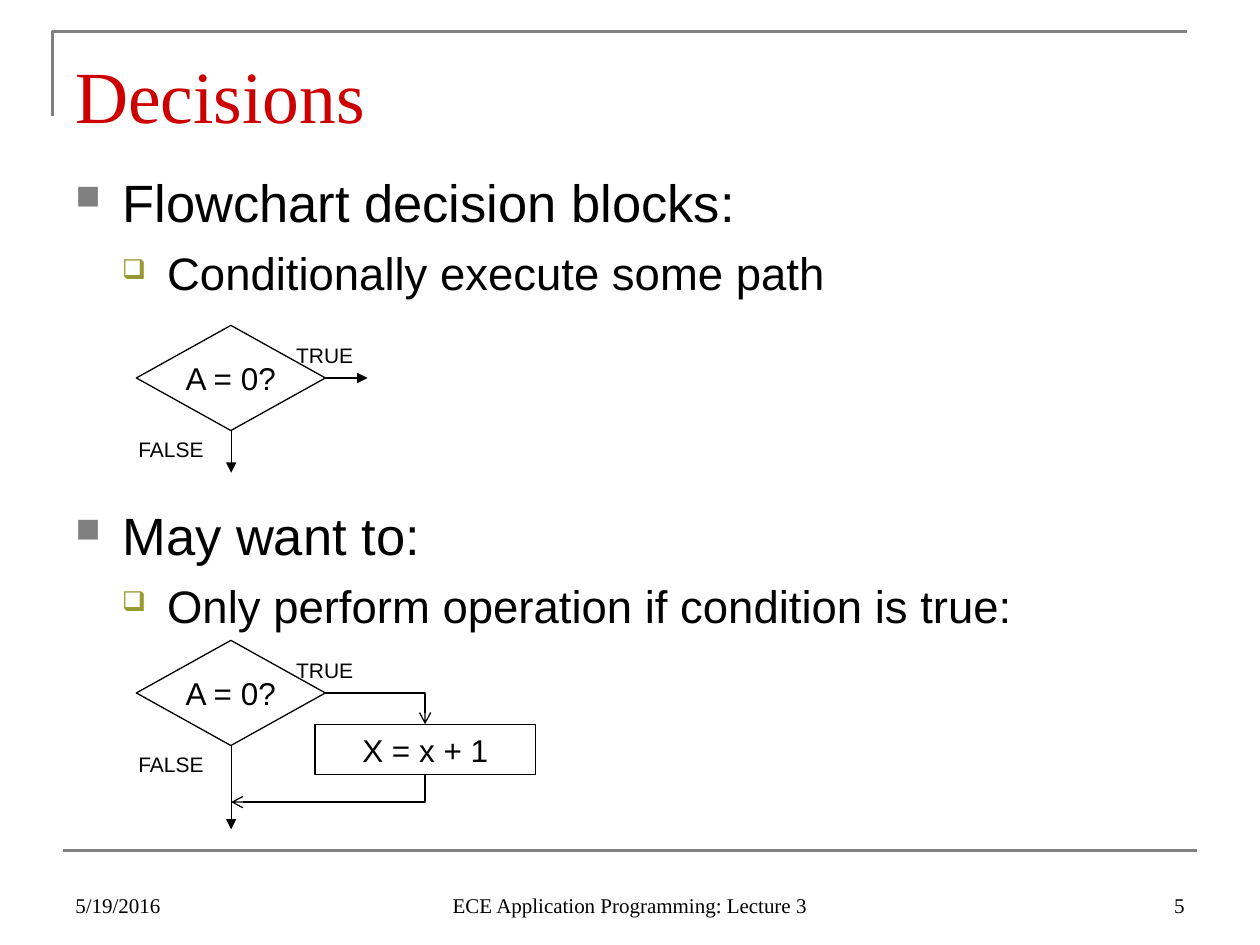
from lxml import etree
from pptx import Presentation
from pptx import util as u
from pptx.dml.color import RGBColor
from pptx.enum import shapes, text
from pptx.oxml import ns

SERIF, SANS = "Times New Roman", "Arial"
BLACK, GRAY, RED, OLIVE = "000000", "808080", "CC0000", "999933"
LEFT, CENTER, RIGHT = text.PP_ALIGN.LEFT, text.PP_ALIGN.CENTER, text.PP_ALIGN.RIGHT
TOP, MIDDLE, BOTTOM = text.MSO_ANCHOR.TOP, text.MSO_ANCHOR.MIDDLE, text.MSO_ANCHOR.BOTTOM


def color(value):
    """Turn a hex string into a colour."""
    return RGBColor.from_string(value)


def cm(*values):
    """Turn numbers into centimetre lengths."""
    return [u.Cm(v) for v in values]


def child(parent, tag, **attrs):
    """Append a drawing element with the given attributes."""
    return etree.SubElement(parent, ns.qn("a:" + tag), **attrs)


def style_line(line, value=BLACK, width=0.75):
    """Set the colour and width of a line."""
    line.color.rgb = color(value)
    line.width = u.Pt(width)


def add_run(p, words, size, font=SANS, value=BLACK):
    """Add one formatted run to a paragraph."""
    r = p.add_run()
    r.text = words
    r.font.size = u.Pt(size)
    r.font.name = font
    r.font.color.rgb = color(value)


def add_text(s, box, words, size, font=SANS, value=BLACK, align=LEFT, anchor=TOP, inset=0.13):
    """Add a text box with one line of text."""
    tf = s.shapes.add_textbox(*cm(*box)).text_frame
    tf.word_wrap = True
    tf.vertical_anchor = anchor
    tf.margin_top = u.Cm(inset)
    p = tf.paragraphs[0]
    p.alignment = align
    add_run(p, words, size, font, value)


def add_block(s, kind, box, words, wrap):
    """Add an outlined flowchart block with centred text."""
    sp = s.shapes.add_shape(kind, *cm(*box))
    sp.shadow.inherit = False
    sp.fill.background()
    style_line(sp.line)
    tf = sp.text_frame
    tf.word_wrap = wrap
    tf.vertical_anchor = MIDDLE
    p = tf.paragraphs[0]
    p.alignment = CENTER
    add_run(p, words, 18)


def add_line(s, start, end, head=None, value=BLACK, width=0.75):
    """Add a straight connector with an optional arrowhead."""
    kind = shapes.MSO_CONNECTOR.STRAIGHT
    sp = s.shapes.add_connector(kind, *cm(*start, *end))
    style_line(sp.line, value, width)
    if head:
        child(sp.line._get_or_add_ln(), "tailEnd", type=head)
    child(sp._element.spPr, "effectLst")
    return sp


def add_elbow(s, start, end, down_first=False):
    """Add a one-bend arrow that leaves sideways or downwards."""
    sp = add_line(s, start, end, "arrow")
    spPr = sp._element.spPr
    spPr.find(ns.qn("a:prstGeom")).set("prst", "bentConnector2")
    if down_first:
        (x1, y1), (x2, y2) = start, end
        w, h = y2 - y1, x1 - x2
        xfrm = spPr.find(ns.qn("a:xfrm"))
        xfrm.attrib.pop("flipH", None)
        xfrm.set("rot", "5400000")
        left, top = (x1 + x2 - w) / 2, (y1 + y2 - h) / 2
        sp.left, sp.top, sp.width, sp.height = cm(left, top, w, h)


def add_bullet(p, words, level, before):
    """Fill a paragraph as a bullet of the given level."""
    char, value, percent, size, left, hang = (
        ("■", GRAY, "65000", 30, 0.95, 0.95),
        ("❑", OLIVE, "60000", 26, 1.85, 0.91),
    )[level]
    p.level = level
    pPr = p._p.get_or_add_pPr()
    pPr.set("marL", str(u.Cm(left)))
    pPr.set("indent", str(-u.Cm(hang)))
    child(child(pPr, "buClr"), "srgbClr", val=value)
    child(pPr, "buSzPct", val=percent)
    child(pPr, "buChar", char=char)
    p.space_before = u.Pt(before)
    add_run(p, words, size)


def add_body(s):
    """Add the bulleted body text."""
    tf = s.shapes.add_textbox(*cm(1.27, 3.18, 22.86, 13.84)).text_frame
    tf.word_wrap = True
    tf.margin_top = u.Cm(0.25)
    items = (
        ("Flowchart decision blocks:", 0, 0),
        ("Conditionally execute some path", 1, 7),
        ("May want to:", 0, 116),
        ("Only perform operation if condition is true:", 1, 7),
    )
    for i, item in enumerate(items):
        add_bullet(tf.add_paragraph() if i else tf.paragraphs[0], *item)


def add_decision(s, top, drop):
    """Add a decision diamond with its labels and false branch."""
    kind = shapes.MSO_SHAPE.FLOWCHART_DECISION
    add_block(s, kind, (2.75, top, 3.81, 2.12), "A = 0?", False)
    add_line(s, (4.66, top + 2.12), (4.66, top + 2.12 + drop), "triangle")
    add_text(s, (5.72, top + 0.21, 1.69, 0.76), "TRUE", 12)
    add_text(s, (2.54, top + 2.12, 1.91, 0.76), "FALSE", 12)


def add_frame(s):
    """Add the corner rule above the title and the rule above the footer."""
    fb = s.shapes.build_freeform(*cm(1.06, 2.33), scale=1.0)
    fb.add_line_segments([cm(1.06, 0.64), cm(23.92, 0.64)], close=False)
    sp = fb.convert_to_shape()
    sp.shadow.inherit = False
    sp.fill.background()
    style_line(sp.line, GRAY, 1.5)
    add_line(s, (1.27, 17.15), (24.13, 17.15), value=GRAY, width=1.5)


def add_footer(s):
    """Add the date, the course name and the slide number."""
    for left, width, words, align in (
        (1.27, 5.92, "5/19/2016", LEFT),
        (8.68, 8.04, "ECE Application Programming: Lecture 3", CENTER),
        (18.21, 5.92, "5", RIGHT),
    ):
        add_text(s, (left, 17.36, width, 1.27), words, 12, SERIF, align=align, anchor=BOTTOM)


def main():
    """Build and save the slide."""
    prs = Presentation()
    prs.slide_width, prs.slide_height = cm(25.4, 19.05)
    s = prs.slides.add_slide(prs.slide_layouts[6])
    add_frame(s)
    add_text(s, (1.27, 0.76, 22.86, 1.98), "Decisions", 42, SERIF, RED, inset=0.25)
    add_body(s)
    add_footer(s)
    add_decision(s, 6.56, 0.85)
    add_line(s, (6.56, 7.62), (7.41, 7.62), "triangle")
    add_decision(s, 12.91, 1.69)
    add_block(s, shapes.MSO_SHAPE.RECTANGLE, (6.35, 14.6, 4.45, 1.02), "X = x + 1", True)
    add_elbow(s, (6.56, 13.97), (8.57, 14.6))
    add_elbow(s, (8.57, 15.62), (4.66, 16.17), down_first=True)
    prs.save("out.pptx")


if __name__ == "__main__":
    main()
